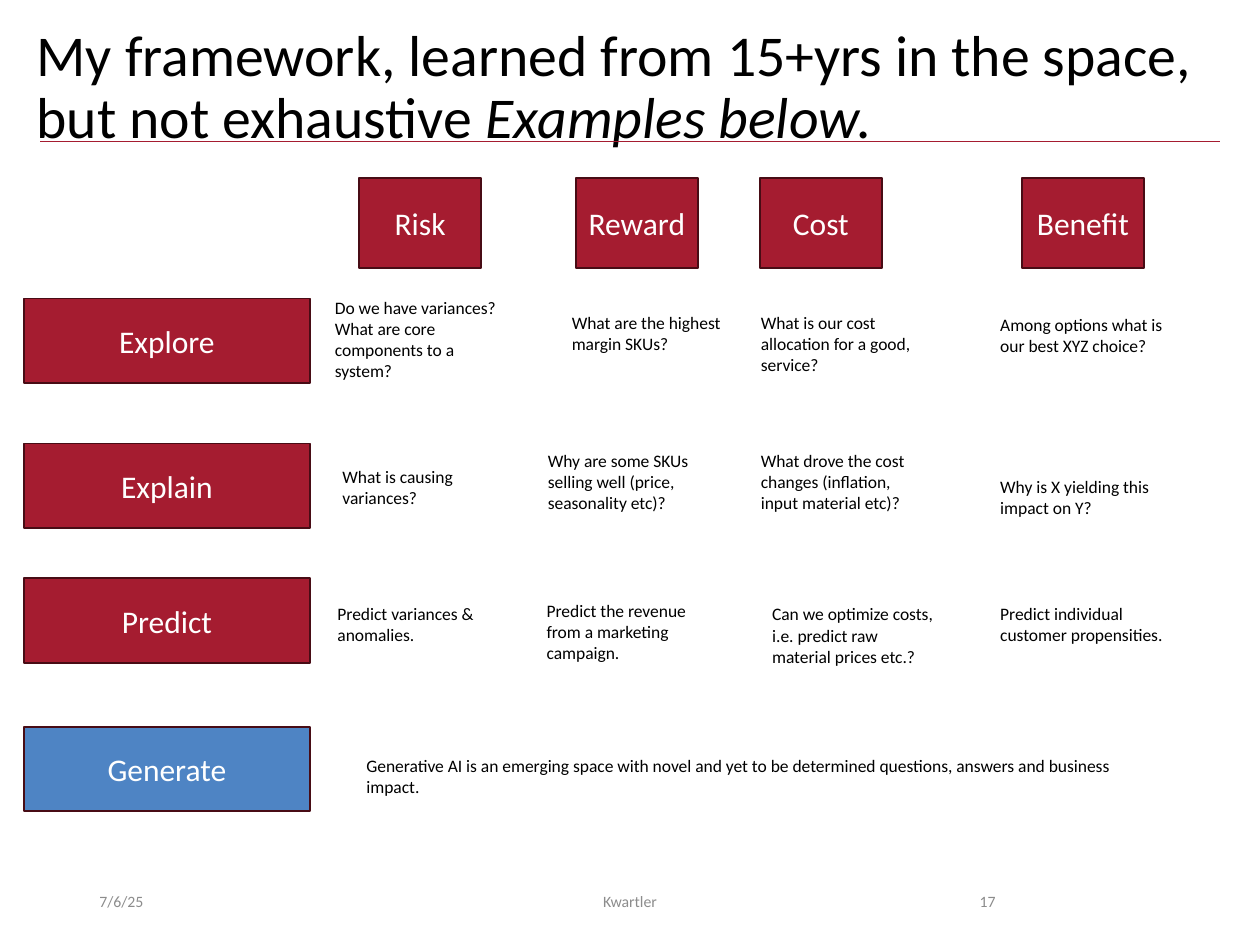
import pptx
import pptx.util
import pptx.dml.color
import pptx.enum.shapes
import pptx.enum.text
import lxml.etree

Inches, Pt = pptx.util.Inches, pptx.util.Pt
Align = pptx.enum.text.PP_ALIGN
Anchor = pptx.enum.text.MSO_ANCHOR
Fit = pptx.enum.text.MSO_AUTO_SIZE
COLORS = {"red": "A51C30", "dark": "480C15", "blue": "4E84C4",
          "white": "FFFFFF", "black": "000000", "gray": "8C8C8C"}


def color(name):
    return pptx.dml.color.RGBColor.from_string(COLORS[name])


def write(shape, text, size, ink, align=Align.LEFT, anchor=Anchor.MIDDLE):
    """Fill the shape with one paragraph per line of text."""
    frame = shape.text_frame
    frame.text = text
    frame.word_wrap = True
    frame.vertical_anchor = anchor
    for para in frame.paragraphs:
        para.alignment = align
        para.font.name = "Calibri"
        para.font.size = Pt(size)
        para.font.color.rgb = color(ink)


deck = pptx.Presentation()
deck.slide_width, deck.slide_height = Inches(10), Inches(7.5)
slide = deck.slides.add_slide(deck.slide_layouts[5])
shapes = slide.shapes

# Title and rule
title = shapes.title
title.left, title.top = Inches(0.19), Inches(0.16)
title.width, title.height = Inches(9.6), Inches(0.65)
write(title, "My framework, learned from 15+yrs in the space, but not exhaustive ",
      33, "black", anchor=Anchor.TOP)
title.text_frame.auto_size = Fit.NONE
head = title.text_frame.paragraphs[0]
head.line_spacing = 0.9
run = head.add_run()
run.text = "Examples below."
run.font.italic = True

rule = shapes.add_connector(pptx.enum.shapes.MSO_CONNECTOR.STRAIGHT,
                            Inches(0.32), Inches(1.12), Inches(9.68), Inches(1.12))
rule.line.color.rgb = color("red")
rule.line.width = Pt(0.5)
lxml.etree.SubElement(rule.line._get_or_add_ln().getparent(),
                      pptx.oxml.ns.qn("a:effectLst"))

# Row and column labels
cols = {"Risk": 2.85, "Reward": 4.57, "Cost": 6.03, "Benefit": 8.11}
rows = {"Explore": 2.37, "Explain": 3.52, "Predict": 4.59, "Generate": 5.77}
labels = [(name, 0.19, top, 2.27, 0.67) for name, top in rows.items()]
labels += [(name, left, 1.41, 0.97, 0.72) for name, left in cols.items()]
for name, *place in labels:
    box = shapes.add_shape(pptx.enum.shapes.MSO_SHAPE.RECTANGLE, *map(Inches, place))
    box.shadow.inherit = False
    box.fill.solid()
    box.fill.fore_color.rgb = color("blue" if name == "Generate" else "red")
    box.line.color.rgb = color("dark")
    box.line.width = Pt(1)
    write(box, name, 18, "white", Align.CENTER)

# Questions: row, column, shift from the grid point, lines shown, text
cells = [
    ("Explore", "Risk", -0.29, -0.06, 4,
     "Do we have variances?\nWhat are core components to a system?"),
    ("Explore", "Reward", -0.13, 0.06, 2, "What are the highest margin SKUs?"),
    ("Explore", "Cost", -0.09, 0.06, 3, "What is our cost allocation for a good, service?"),
    ("Explore", "Benefit", -0.27, 0.07, 2, "Among options what is our best XYZ choice?"),
    ("Explain", "Risk", -0.23, 0.13, 2, "What is causing variances?"),
    ("Explain", "Reward", -0.32, 0, 3,
     "Why are some SKUs selling well (price, seasonality etc)?"),
    ("Explain", "Cost", -0.09, 0, 3,
     "What drove the cost changes (inflation, input material etc)?"),
    ("Explain", "Benefit", -0.27, 0.21, 2, "Why is X yielding this impact on Y?"),
    ("Predict", "Risk", -0.27, 0.15, 2, "Predict variances & anomalies."),
    ("Predict", "Reward", -0.33, 0.12, 3, "Predict the revenue from a marketing campaign."),
    ("Predict", "Cost", 0, 0.15, 3,
     "Can we optimize costs, i.e. predict raw material prices etc.?"),
    ("Predict", "Benefit", -0.27, 0.15, 2, "Predict individual customer propensities."),
    ("Generate", "Risk", -0.04, 0.17, 2,
     "Generative AI is an emerging space with novel and yet to be determined "
     "questions, answers and business impact."),
]
for row, col, right, down, count, text in cells:
    width = 6.43 if row == "Generate" else 1.5
    note = shapes.add_textbox(Inches(cols[col] + right), Inches(rows[row] + down),
                              Inches(width), Inches(0.1 + 0.17 * count))
    write(note, text, 10, "black", anchor=Anchor.TOP)
    note.text_frame.auto_size = Fit.SHAPE_TO_FIT_TEXT

# Footer
for text, left, width, align in [("7/6/25", 0.69, 2.25, Align.LEFT),
                                 ("Kwartler", 3.31, 3.38, Align.CENTER),
                                 ("17", 7.06, 0.94, Align.RIGHT)]:
    foot = shapes.add_textbox(Inches(left), Inches(6.95), Inches(width), Inches(0.4))
    write(foot, text, 9, "gray", align)

deck.save("out.pptx")
